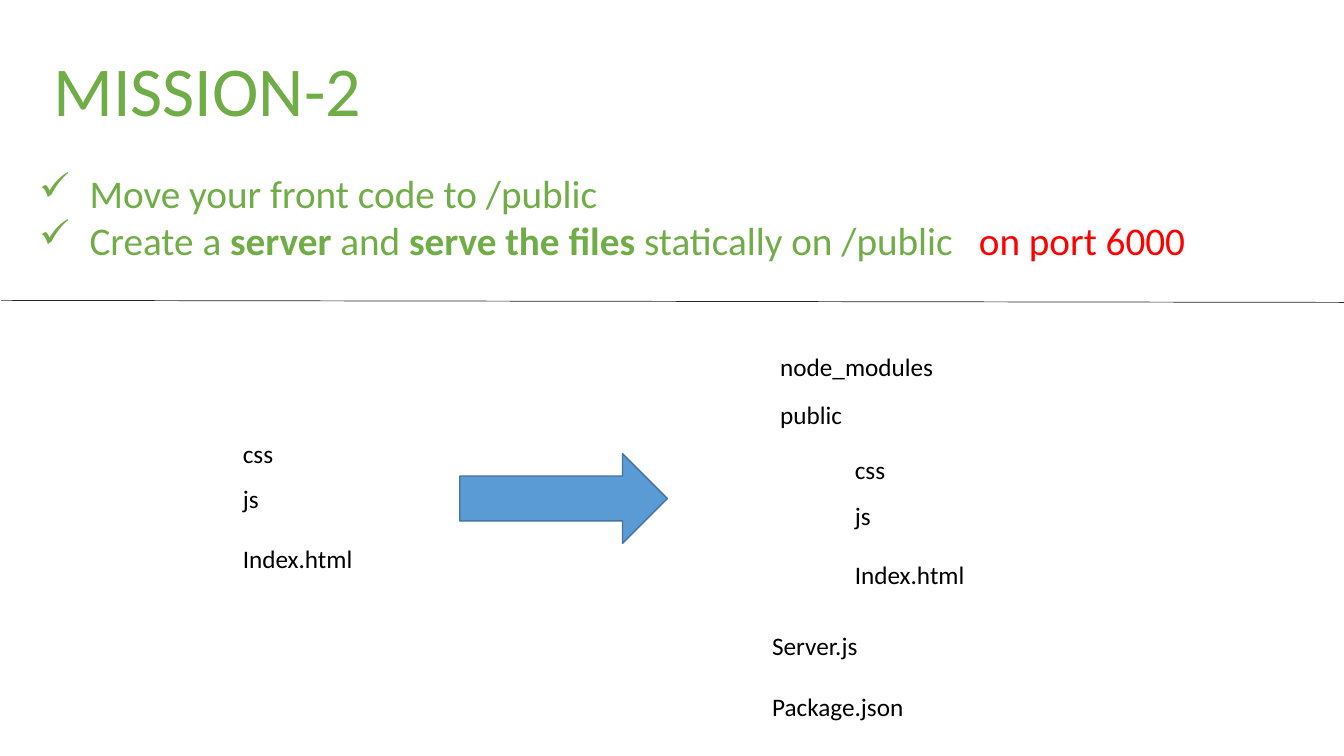
"""Build the MISSION-2 slide: moving front-end files into a served public folder."""
from pptx import Presentation
from pptx.dml.color import RGBColor
from pptx.enum.shapes import MSO_CONNECTOR, MSO_SHAPE
from pptx.enum.text import MSO_AUTO_SIZE
from pptx.oxml import parse_xml
from pptx.oxml.ns import nsdecls
from pptx.util import Inches, Pt

GREEN, RED, BLACK = "70AD47", "FF0000", "000000"


def color(value):
    return RGBColor.from_string(value)


def add_text(page, paragraphs, left, top, width, height, size=18, fill=BLACK, bullet=None, tab=0):
    box = page.shapes.add_textbox(Inches(left), Inches(top), Inches(width), Inches(height))
    frame = box.text_frame
    frame.word_wrap = False
    frame.auto_size = MSO_AUTO_SIZE.SHAPE_TO_FIT_TEXT
    for index, spans in enumerate(paragraphs):
        para = frame.paragraphs[0] if index == 0 else frame.add_paragraph()
        if bullet:
            props = para._p.get_or_add_pPr()
            props.set("marL", str(Inches(0.5)))
            props.set("indent", str(-Inches(0.5)))
            props.append(parse_xml(f'<a:buChar {nsdecls("a")} char="{bullet}"/>'))
            props.append(parse_xml(
                f'<a:tabLst {nsdecls("a")}><a:tab pos="{Inches(tab)}" algn="l"/></a:tabLst>'))
        for text, bold, span_fill in spans:
            span = para.add_run()
            span.text = text
            span.font.name = "Calibri"
            span.font.size = Pt(size)
            span.font.bold = bold
            span.font.color.rgb = color(span_fill or fill)


deck = Presentation()
deck.slide_width, deck.slide_height = Inches(13.33), Inches(7.5)
page = deck.slides.add_slide(deck.slide_layouts[6])

add_text(page, [[("MISSION-2", False, None)]], 0.43, 0.41, 3.29, 0.94, size=50, fill=GREEN)

tasks = [
    [("Move your front code to /public", False, None)],
    [
        ("Create a ", False, None),
        ("server", True, None),
        (" and ", False, None),
        ("serve the files ", True, None),
        ("statically on /public\t", False, None),
        ("on port 6000", False, RED),
    ],
]
add_text(page, tasks, 0.29, 1.63, 11.72, 1.04, size=28, fill=GREEN, bullet="✓", tab=9.32)

arrow = page.shapes.add_shape(
    MSO_SHAPE.RIGHT_ARROW, Inches(4.56), Inches(4.5), Inches(2.06), Inches(0.89))
arrow.shadow.inherit = False
arrow.fill.solid()
arrow.fill.fore_color.rgb = color("5B9BD5")
arrow.line.color.rgb = color("43739E")
arrow.line.width = Pt(1)

divider = page.shapes.add_connector(
    MSO_CONNECTOR.STRAIGHT, Inches(0.01), Inches(2.98), Inches(13.33), Inches(3))
divider.line.color.rgb = color("262626")
divider.line.width = Pt(0.5)
divider._element.spPr.append(parse_xml(f'<a:effectLst {nsdecls("a")}/>'))

front_files = [("css", 0, 0.51), ("js", 0.45, 0.36), ("Index.html", 1.04, 1.3)]
for left, top in [(2.31, 4.3), (8.38, 4.46)]:
    for name, offset, width in front_files:
        add_text(page, [[(name, False, None)]], left, top + offset, width, 0.4)

project_files = [
    ("node_modules", 7.64, 3.44, 1.77),
    ("public", 7.64, 3.91, 0.82),
    ("Server.js", 7.56, 6.2, 1.05),
    ("Package.json", 7.56, 6.81, 1.52),
]
for name, left, top, width in project_files:
    add_text(page, [[(name, False, None)]], left, top, width, 0.4)

deck.save("out.pptx")
